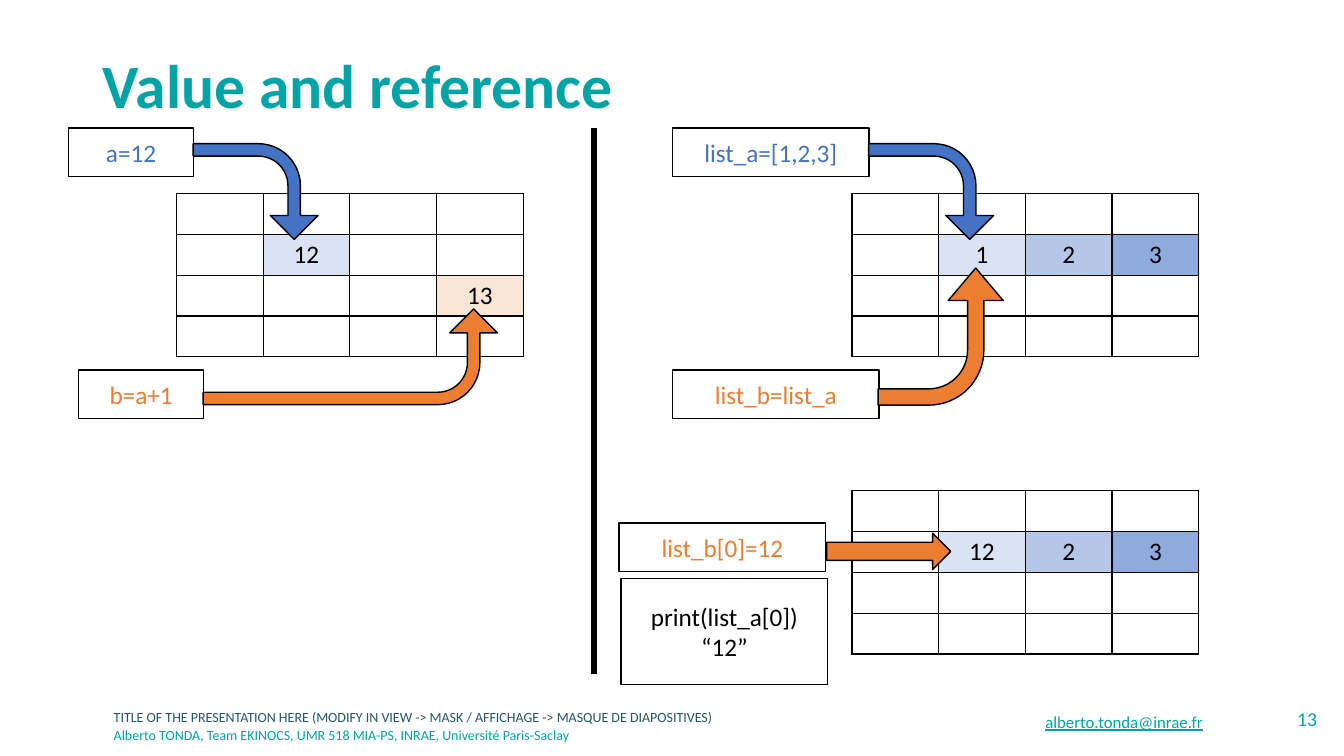
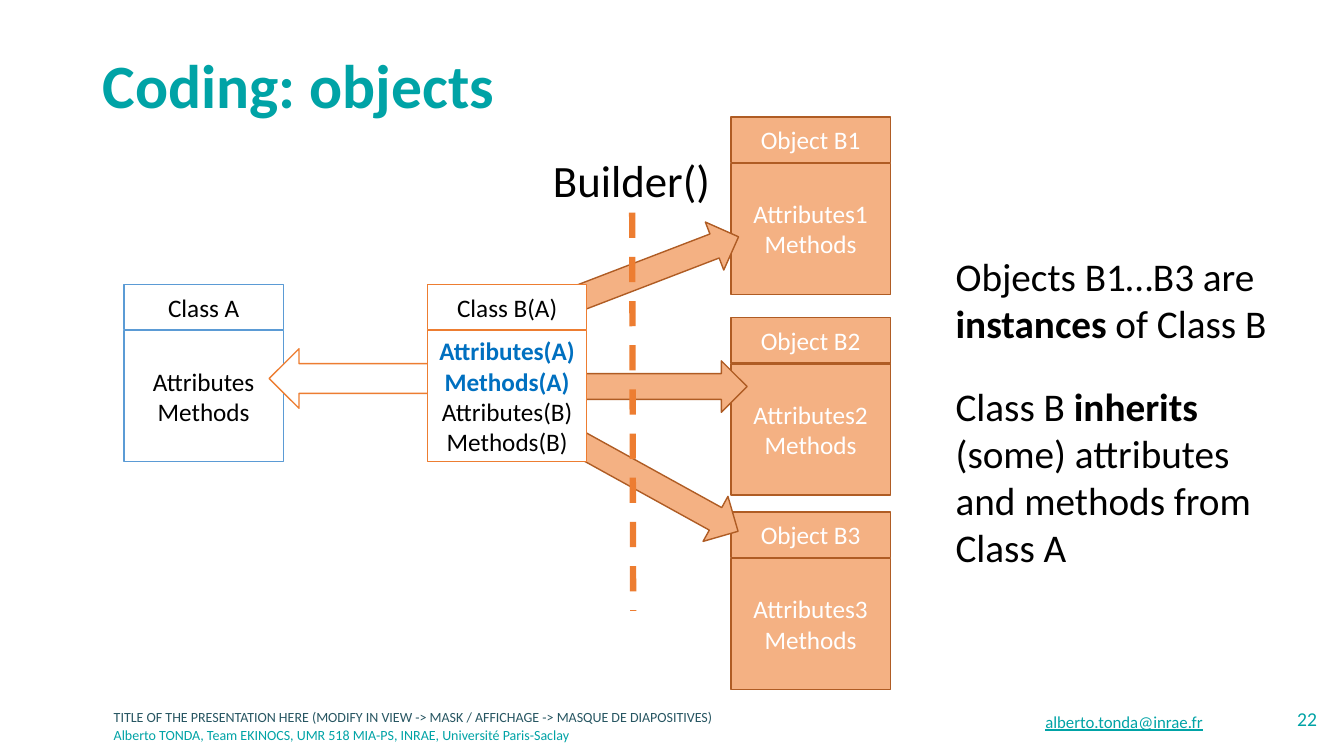
"""Builds two slides on Python values, references and objects."""
from lxml import etree
from pptx import Presentation
from pptx.dml.color import RGBColor
from pptx.enum.dml import MSO_LINE
from pptx.enum.shapes import MSO_CONNECTOR, MSO_SHAPE
from pptx.enum.text import MSO_ANCHOR, PP_ALIGN
from pptx.oxml.ns import qn
from pptx.util import Inches, Pt

LEFT, CENTER, RIGHT = PP_ALIGN.LEFT, PP_ALIGN.CENTER, PP_ALIGN.RIGHT
TOP, MIDDLE = MSO_ANCHOR.TOP, MSO_ANCHOR.MIDDLE
RECTANGLE = MSO_SHAPE.RECTANGLE
RIGHT_ARROW, BENT_ARROW = MSO_SHAPE.RIGHT_ARROW, MSO_SHAPE.BENT_ARROW
STRAIGHT, DASH = MSO_CONNECTOR.STRAIGHT, MSO_LINE.DASH

FONT = "Calibri"
COLORS = {
    "white": "FFFFFF", "black": "000000", "teal": "00A3A6", "dark teal": "275662",
    "blue": "4472C4", "orange": "ED7D31", "pale blue": "DAE3F3",
    "light blue": "B4C7E7", "mid blue": "8FAADC", "pale orange": "FBE5D6",
    "sky": "5B9BD5", "peach": "F4B183", "brown": "AF5C24", "strong blue": "0070C0",
}
RGB = {name: RGBColor.from_string(value) for name, value in COLORS.items()}


def write_text(frame, text, size, color, align=CENTER, bold=False):
    frame.text = text
    frame.word_wrap = True
    for paragraph in frame.paragraphs:
        paragraph.alignment = align
        for run in paragraph.runs:
            run.font.name = FONT
            run.font.size = Pt(size)
            run.font.bold = bold
            run.font.color.rgb = RGB[color]


def add_block(slide, kind, place, fill, line, rotation=0):
    shape = slide.shapes.add_shape(kind, *map(Inches, place))
    shape.shadow.inherit = False
    shape.fill.solid()
    shape.fill.fore_color.rgb = RGB[fill]
    shape.line.color.rgb = RGB[line]
    shape.line.width = Pt(1)
    shape.rotation = rotation
    return shape


presentation = Presentation()
presentation.slide_width = Inches(13.33)
presentation.slide_height = Inches(7.5)

slides = []
for title, number in [("Value and reference", "13"), ("Coding: objects", "22")]:
    slide = presentation.slides.add_slide(presentation.slide_layouts[6])
    slides.append(slide)
    for text, place, size, color, align, anchor in [
        ("TITLE OF THE PRESENTATION HERE (MODIFY IN VIEW -> MASK / AFFICHAGE -> MASQUE DE DIAPOSITIVES)",
         (1.03, 6.98, 7.34, 0.28), 10, "dark teal", LEFT, TOP),
        ("Alberto TONDA, Team EKINOCS, UMR 518 MIA-PS, INRAE, Université Paris-Saclay",
         (1.03, 7.16, 7.34, 0.28), 10, "teal", LEFT, TOP),
        (number, (12.14, 6.96, 1.02, 0.4), 14, "teal", RIGHT, TOP),
    ]:
        frame = slide.shapes.add_textbox(*map(Inches, place)).text_frame
        write_text(frame, text, size, color, align)
        frame.vertical_anchor = anchor

    frame = slide.shapes.add_textbox(*map(Inches, (7.53, 6.96, 4.5, 0.4))).text_frame
    write_text(frame, "alberto.tonda@inrae.fr", 12, "teal", RIGHT)
    frame.vertical_anchor = MIDDLE
    frame.paragraphs[0].runs[0].font.underline = True

    frame = slide.shapes.add_textbox(*map(Inches, (0.92, 0.4, 11.5, 0.95))).text_frame
    write_text(frame, title, 44, "teal", LEFT, True)
    frame.vertical_anchor = MIDDLE
    frame.paragraphs[0].line_spacing = 0.9

memory_slide, objects_slide = slides

list_tail = {(1, 2): ("2", "light blue"), (1, 3): ("3", "mid blue")}
memories = [
    (1.75, 1.92, {(1, 1): ("12", "pale blue"), (2, 3): ("13", "pale orange")}),
    (8.45, 1.92, {(1, 1): ("1", "pale blue"), **list_tail}),
    (8.45, 4.87, {(1, 1): ("12", "pale blue"), **list_tail}),
]
for left, top, values in memories:
    table = memory_slide.shapes.add_table(
        4, 4, Inches(left), Inches(top), Inches(3.44), Inches(1.62)).table
    table.first_row = table.horz_banding = False
    for column in table.columns:
        column.width = Inches(0.86)
    for row_index, row in enumerate(table.rows):
        row.height = Inches(0.405)
        for column_index, cell in enumerate(row.cells):
            text, fill = values.get((row_index, column_index), ("", "white"))
            write_text(cell.text_frame, text, 18, "black")
            properties = cell._tc.get_or_add_tcPr()
            for side in ("a:lnL", "a:lnR", "a:lnT", "a:lnB"):
                border = etree.SubElement(properties, qn(side), w=str(Pt(1)))
                border_fill = etree.SubElement(border, qn("a:solidFill"))
                etree.SubElement(border_fill, qn("a:srgbClr"), val=COLORS["black"])
            cell.fill.solid()
            cell.fill.fore_color.rgb = RGB[fill]

for text, place, color in [
    ("a=12", (0.68, 1.27, 1.24, 0.48), "blue"),
    ("b=a+1", (0.78, 3.67, 1.24, 0.48), "orange"),
    ("list_a=[1,2,3]", (6.67, 1.27, 1.95, 0.48), "blue"),
    ("list_b=list_a", (6.67, 3.67, 2.05, 0.48), "orange"),
    ("list_b[0]=12", (6.14, 5.19, 2.05, 0.48), "orange"),
    ("print(list_a[0])\n“12”", (6.16, 5.74, 2.05, 1.05), "black"),
]:
    statement = add_block(memory_slide, RECTANGLE, place, "white", "black")
    write_text(statement.text_frame, text, 18, color)

for place, color, head_width, head_length in [
    ((2.06, 1.28, 0.95, 1.24), "blue", 0.25, 0.25),
    ((3, 2.08, 0.95, 2.92), "orange", 0.25, 0.25),
    ((8.76, 1.28, 0.95, 1.24), "blue", 0.25, 0.25),
    ((8.65, 2.72, 1.36, 1.24), "orange", 0.22, 0.26),
]:
    points_up = color == "orange"
    arrow = add_block(memory_slide, BENT_ARROW, place, color, "black", 270 if points_up else 90)
    for index, value in enumerate((0.13, head_width, head_length, 0.44)):
        arrow.adjustments[index] = value
    if points_up:
        arrow.element.spPr.xfrm.set("flipV", "1")
add_block(memory_slide, RIGHT_ARROW, (8.2, 5.29, 1.23, 0.36), "orange", "black")

instance_style = ("peach", "brown", "white")
class_b_arrows = [
    ((2.67, 3.46, 1.7, 0.59), 180, "white", "orange"),
    ((5.46, 2.44, 1.93, 0.51), 339, "peach", "brown"),
    ((5.48, 3.58, 1.93, 0.51), 0, "peach", "brown"),
    ((5.51, 4.55, 1.93, 0.51), 28.9, "peach", "brown"),
]
cards = [
    ("Class A", "Attributes\nMethods", 1.23, 2.82, ("white", "sky", "black"), []),
    ("Object B1", "Attributes1\nMethods", 7.25, 1.16, instance_style, []),
    ("Object B2", "Attributes2\nMethods", 7.25, 3.15, instance_style, []),
    ("Object B3", "Attributes3\nMethods", 7.25, 5.08, instance_style, []),
    ("Class B(A)", "Attributes(A)\nMethods(A)\nAttributes(B)\nMethods(B)",
     4.24, 2.82, ("white", "orange", "black"), class_b_arrows),
]
for heading, members, left, top, (fill, line, ink), arrows_behind in cards:
    for place, rotation, arrow_fill, arrow_line in arrows_behind:
        add_block(objects_slide, RIGHT_ARROW, place, arrow_fill, arrow_line, rotation)
    body = add_block(objects_slide, RECTANGLE, (left, top + 0.46, 1.58, 1.3), fill, line)
    write_text(body.text_frame, members, 18, ink)
    header = add_block(objects_slide, RECTANGLE, (left, top, 1.58, 0.45), fill, line)
    write_text(header.text_frame, heading, 18, ink)
    for paragraph in body.text_frame.paragraphs:
        if paragraph.text.endswith("(A)"):
            paragraph.runs[0].font.bold = True
            paragraph.runs[0].font.color.rgb = RGB["strong blue"]

for top, height, parts in [
    (2.45, 1.04, ("Objects B1…B3 are ", "instances", " of Class B")),
    (3.74, 1.99, ("Class B ", "inherits", " (some) attributes and methods from Class A")),
]:
    frame = objects_slide.shapes.add_textbox(
        Inches(9.38), Inches(top), Inches(3.43), Inches(height)).text_frame
    frame.word_wrap = True
    for index, part in enumerate(parts):
        run = frame.paragraphs[0].add_run()
        run.text = part
        run.font.name = FONT
        run.font.size = Pt(28)
        run.font.bold = index == 1
        run.font.color.rgb = RGB["black"]

builder = objects_slide.shapes.add_textbox(*map(Inches, (5.38, 1.47, 1.77, 0.64)))
write_text(builder.text_frame, "Builder()", 32, "black")

for slide, ends, color, dash in [
    (memory_slide, (5.89, 1.27, 5.89, 6.69), "black", None),
    (objects_slide, (6.27, 2.11, 6.28, 6.06), "orange", DASH),
]:
    divider = slide.shapes.add_connector(STRAIGHT, *map(Inches, ends))
    divider.line.color.rgb = RGB[color]
    divider.line.width = Pt(4.5)
    divider.line.dash_style = dash
    etree.SubElement(divider.element.spPr, qn("a:effectLst"))

presentation.save("out.pptx")
